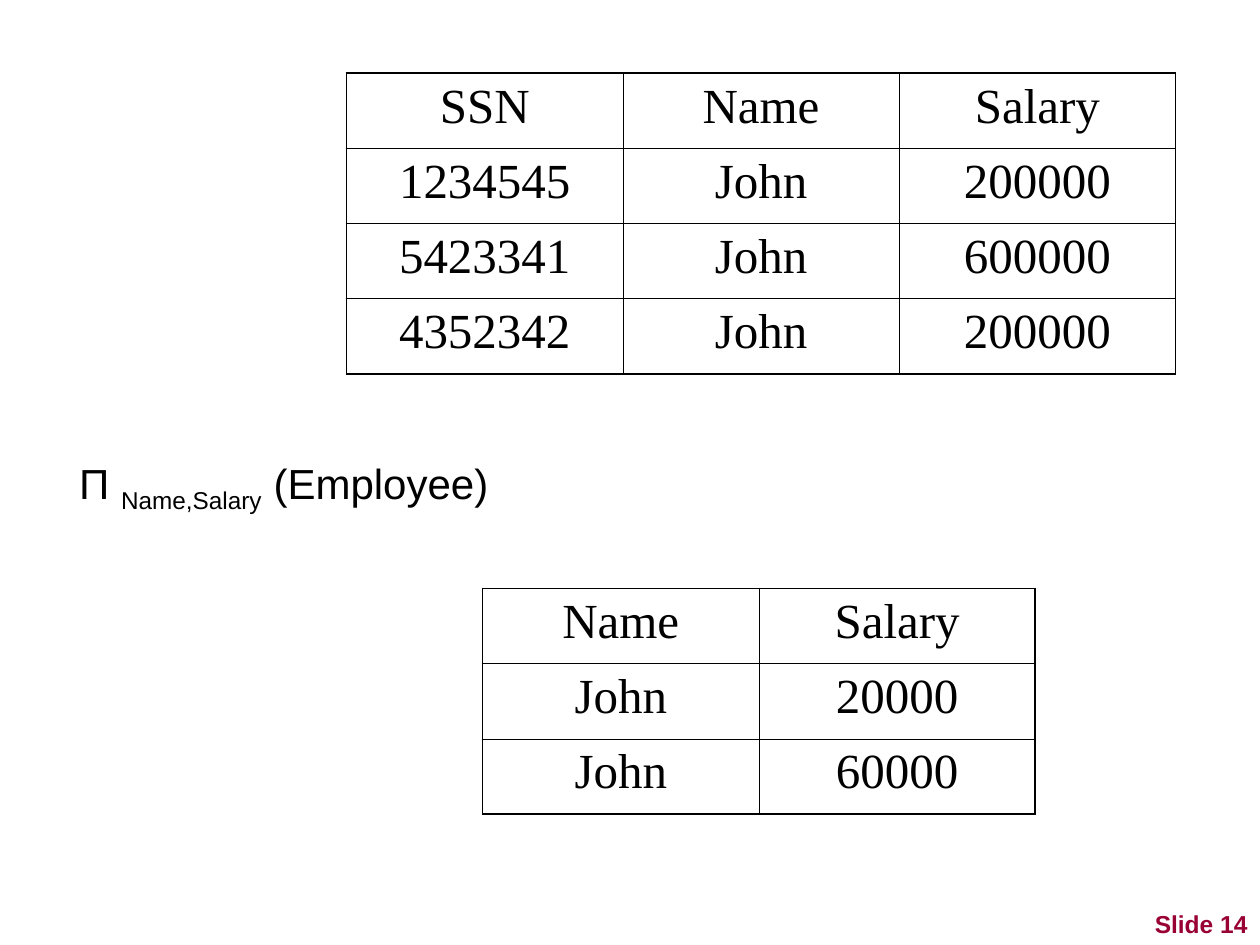
from pptx import Presentation
from pptx.dml.color import RGBColor as RGB
from pptx.enum.text import MSO_ANCHOR as Anchor, MSO_AUTO_SIZE as AutoSize, PP_ALIGN as Align
from pptx.oxml.ns import qn
from pptx.util import Inches, Pt
from lxml.etree import SubElement

BLACK = RGB(0x00, 0x00, 0x00)
WHITE = RGB(0xFF, 0xFF, 0xFF)
CRIMSON = RGB(0x99, 0x00, 0x33)
COL_W, ROW_H = Inches(6.58) // 3, Inches(2.39) // 4
THIN, THICK = Pt(0.45), Pt(1.08)

prs = Presentation()
prs.slide_width, prs.slide_height = Inches(10), Inches(7.5)
s = prs.slides.add_slide(prs.slide_layouts[6])


def add_run(p, text, **fmt):
    r = p.add_run()
    r.text = text
    color = fmt.pop("color", BLACK)
    for name, value in fmt.items():
        setattr(r.font, name, value)
    r.font.color.rgb = color
    return r


def add_border(cell, side, width):
    ln = SubElement(cell._tc.get_or_add_tcPr(), qn("a:" + side), w=str(width))
    fill = SubElement(ln, qn("a:solidFill"))
    SubElement(fill, qn("a:srgbClr"), val=str(BLACK))


sp = s.shapes.add_textbox(Inches(0.53), Inches(3.58), Inches(3.47), Inches(0.56))
tf = sp.text_frame
tf.word_wrap = False
tf.auto_size = AutoSize.SHAPE_TO_FIT_TEXT
p = tf.paragraphs[0]
p.space_before = Pt(6)
for text, baseline in [("Π ", 0), ("Name,Salary", -25000), (" (Employee)", 0)]:
    r = add_run(p, text, size=Pt(24), name="Arial")
    if baseline:
        r.font._element.set("baseline", str(baseline))

tables = [
    (2.75, 0.58, [
        ["SSN", "Name", "Salary"],
        ["1234545", "John", "200000"],
        ["5423341", "John", "600000"],
        ["4352342", "John", "200000"],
    ]),
    (3.83, 4.67, [
        ["Name", "Salary"],
        ["John", "20000"],
        ["John", "60000"],
    ]),
]
for left, top, rows in tables:
    n_rows, n_cols = len(rows), len(rows[0])
    frame = s.shapes.add_table(n_rows, n_cols, Inches(left), Inches(top),
                               COL_W * n_cols, ROW_H * n_rows)
    table = frame.table
    table.first_row = table.horz_banding = False
    for col in table.columns:
        col.width = COL_W
    for i, row in enumerate(rows):
        table.rows[i].height = ROW_H
        for j, text in enumerate(row):
            cell = table.cell(i, j)
            outer = {"lnL": j == 0, "lnR": j == n_cols - 1,
                     "lnT": i == 0, "lnB": i == n_rows - 1}
            for side, is_outer in outer.items():
                add_border(cell, side, THICK if is_outer else THIN)
            cell.fill.solid()
            cell.fill.fore_color.rgb = WHITE
            p = cell.text_frame.paragraphs[0]
            p.alignment = Align.CENTER
            p.space_before = Pt(7)
            add_run(p, text, size=Pt(28), name="Times New Roman")

sp = s.shapes.add_textbox(Inches(7.92), Inches(7), Inches(2.08), Inches(0.5))
tf = sp.text_frame
tf.word_wrap = True
tf.vertical_anchor = Anchor.BOTTOM
p = tf.paragraphs[0]
p.alignment = Align.RIGHT
add_run(p, "Slide 14", size=Pt(14), name="Arial", bold=True, color=CRIMSON)

prs.save("out.pptx")
